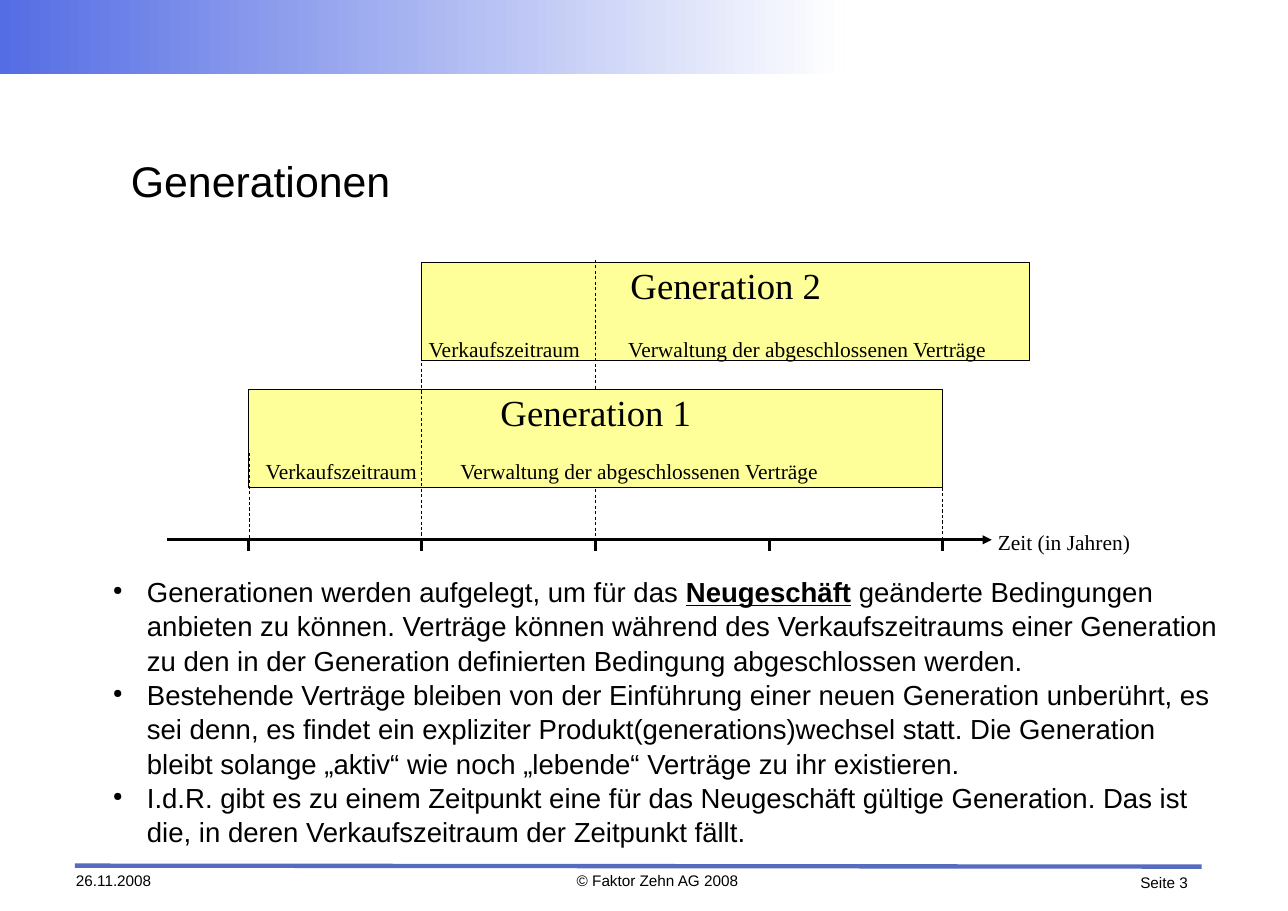
from pptx import Presentation
from pptx.dml.color import RGBColor
from pptx.enum.dml import MSO_LINE
from pptx.enum.shapes import MSO_CONNECTOR, MSO_SHAPE
from pptx.enum.text import MSO_ANCHOR, PP_ALIGN
from pptx.oxml.ns import qn
from pptx.util import Inches, Pt
from lxml import etree

TITLE = "Generationen"
SALES, ADMIN = "Verkaufszeitraum", "Verwaltung der abgeschlossenen Verträge"
AXIS_LABEL = "Zeit (in Jahren)"
# name, first year, years, top, then (label, left, top, width) of each phase
GENERATIONS = {
    "Generation 2": (1, 3.5, 263, [(SALES, 423, 336, 163), (ADMIN, 596, 336, 423)]),
    "Generation 1": (0, 4, 390, [(SALES, 260, 458, 163), (ADMIN, 428, 458, 423)]),
}
BACK_GUIDE = (2, 260, 542)  # year, top, bottom
FRONT_GUIDES = [(0, 453, 540), (1, 325, 542), (4, 455, 542)]
BULLETS = [  # every second piece is emphasised
    ["Generationen werden aufgelegt, um für das ", "Neugeschäft",
     " geänderte Bedingungen anbieten zu können. Verträge können während des "
     "Verkaufszeitraums einer Generation zu den in der Generation definierten "
     "Bedingung abgeschlossen werden."],
    ["Bestehende Verträge bleiben von der Einführung einer neuen Generation "
     "unberührt, es sei denn, es findet ein expliziter "
     "Produkt(generations)wechsel statt. Die Generation bleibt solange „aktiv“ "
     "wie noch „lebende“ Verträge zu ihr existieren."],
    ["I.d.R. gibt es zu einem Zeitpunkt eine für das Neugeschäft gültige "
     "Generation. Das ist die, in deren Verkaufszeitraum der Zeitpunkt fällt."],
]
FOOTER = [  # text, left, top, width, alignment
    ("26.11.2008", 76, 872, 129, PP_ALIGN.LEFT),
    ("© Faktor Zehn AG 2008", 569, 872, 177, PP_ALIGN.CENTER),
    ("Seite 3", 1102, 874, 86, PP_ALIGN.RIGHT),
]
SANS, SERIF = "Arial", "Times New Roman"
BLACK, YELLOW, WHITE = "000000", "FFFF99", "FFFFFF"
BAND_BLUE, RULE_BLUE = "556DE4", "576BBF"
YEAR_ZERO, YEAR_WIDTH = 249, 173.5
BOX_HEIGHT, AXIS_Y, TICK_BOTTOM = 98, 540, 551

EMU_PER_PX = 914400 / 110.2


def px(length):
    return round(length * EMU_PER_PX)


def color(hex_string):
    return RGBColor.from_string(hex_string)


def year_x(year):
    return round(YEAR_ZERO + year * YEAR_WIDTH)


def style_font(font, name, size):
    font.name, font.size = name, Pt(size)
    font.color.rgb = color(BLACK)


def prepare_frame(shape, anchor=MSO_ANCHOR.TOP):
    frame = shape.text_frame
    frame.word_wrap = True
    frame.vertical_anchor = anchor
    frame.margin_left = frame.margin_right = 0
    frame.margin_top = frame.margin_bottom = 0
    return frame


def write(shape, text, font_name, size, alignment, anchor=MSO_ANCHOR.TOP):
    frame = prepare_frame(shape, anchor)
    frame.text = text
    paragraph = frame.paragraphs[0]
    paragraph.alignment = alignment
    style_font(paragraph.runs[0].font, font_name, size)


def add_text_box(left, top, width, height):
    return slide.shapes.add_textbox(px(left), px(top), px(width), px(height))


def add_rectangle(left, top, width, height):
    shape = slide.shapes.add_shape(
        MSO_SHAPE.RECTANGLE, px(left), px(top), px(width), px(height))
    shape.shadow.inherit = False
    return shape


def add_line(x1, y1, x2, y2, line_color=BLACK, width=0):
    line = slide.shapes.add_connector(
        MSO_CONNECTOR.STRAIGHT, px(x1), px(y1), px(x2), px(y2))
    line.line.color.rgb = color(line_color)
    line.line.width = Pt(width)
    etree.SubElement(line._element.spPr, qn("a:effectLst"))
    return line


def add_guide(year, top, bottom):
    guide = add_line(year_x(year), top, year_x(year), bottom, width=0.5)
    guide.line.dash_style = MSO_LINE.DASH


def add_generation(name):
    start, years, top, _ = GENERATIONS[name]
    left = year_x(start)
    box = add_rectangle(left, top, year_x(start + years) - left, BOX_HEIGHT)
    box.fill.solid()
    box.fill.fore_color.rgb = color(YELLOW)
    box.line.color.rgb = color(BLACK)
    box.line.width = Pt(0)
    write(box, name, SERIF, 24, PP_ALIGN.CENTER)


def add_bullet(paragraph, pieces):
    paragraph.level = 1
    paragraph.line_spacing = 1.04
    properties = paragraph._p.get_or_add_pPr()
    properties.set("marL", str(px(104)))
    properties.set("indent", str(px(-34)))
    etree.SubElement(properties, qn("a:buSzPct"), val="45000")
    etree.SubElement(properties, qn("a:buChar"), char="●")
    for index, piece in enumerate(pieces):
        run = paragraph.add_run()
        run.text = piece
        style_font(run.font, SANS, 18)
        run.font.bold = run.font.underline = index % 2 == 1


presentation = Presentation()
presentation.slide_width, presentation.slide_height = Inches(11.69), Inches(8.27)
slide = presentation.slides.add_slide(presentation.slide_layouts[6])

# Header band and footer
band = add_rectangle(0, 0, 845, 74)
band.line.fill.background()
band.fill.gradient()
band.fill.gradient_angle = 0
for stop, stop_color in zip(band.fill.gradient_stops, (BAND_BLUE, WHITE)):
    stop.color.rgb = color(stop_color)
add_line(75, 866, 1202, 867, RULE_BLUE, 2.83)
for text, left, top, width, alignment in FOOTER:
    write(add_text_box(left, top, width, 22), text, SANS, 10, alignment)

write(add_text_box(131, 105, 1026, 151), TITLE, SANS, 28,
      PP_ALIGN.LEFT, MSO_ANCHOR.MIDDLE)

# Timeline: the second generation's guide runs behind the first generation
add_generation("Generation 2")
add_guide(*BACK_GUIDE)
add_generation("Generation 1")
for guide in FRONT_GUIDES:
    add_guide(*guide)

axis = add_line(167, AXIS_Y, 992, AXIS_Y)
etree.SubElement(axis.line._get_or_add_ln(), qn("a:tailEnd"), type="triangle")
for year in range(5):
    add_line(year_x(year), AXIS_Y, year_x(year), TICK_BOTTOM)
write(add_text_box(998, 529, 152, 24), AXIS_LABEL, SERIF, 14, PP_ALIGN.LEFT)
for *_, phases in GENERATIONS.values():
    for label, left, top, width in phases:
        write(add_text_box(left, top, width, 24), label, SERIF, 14, PP_ALIGN.CENTER)

# Explanation
explanation = prepare_frame(add_text_box(43, 574, 1182, 309))
for index, pieces in enumerate(BULLETS):
    add_bullet(explanation.add_paragraph() if index else explanation.paragraphs[0], pieces)

presentation.save("out.pptx")
